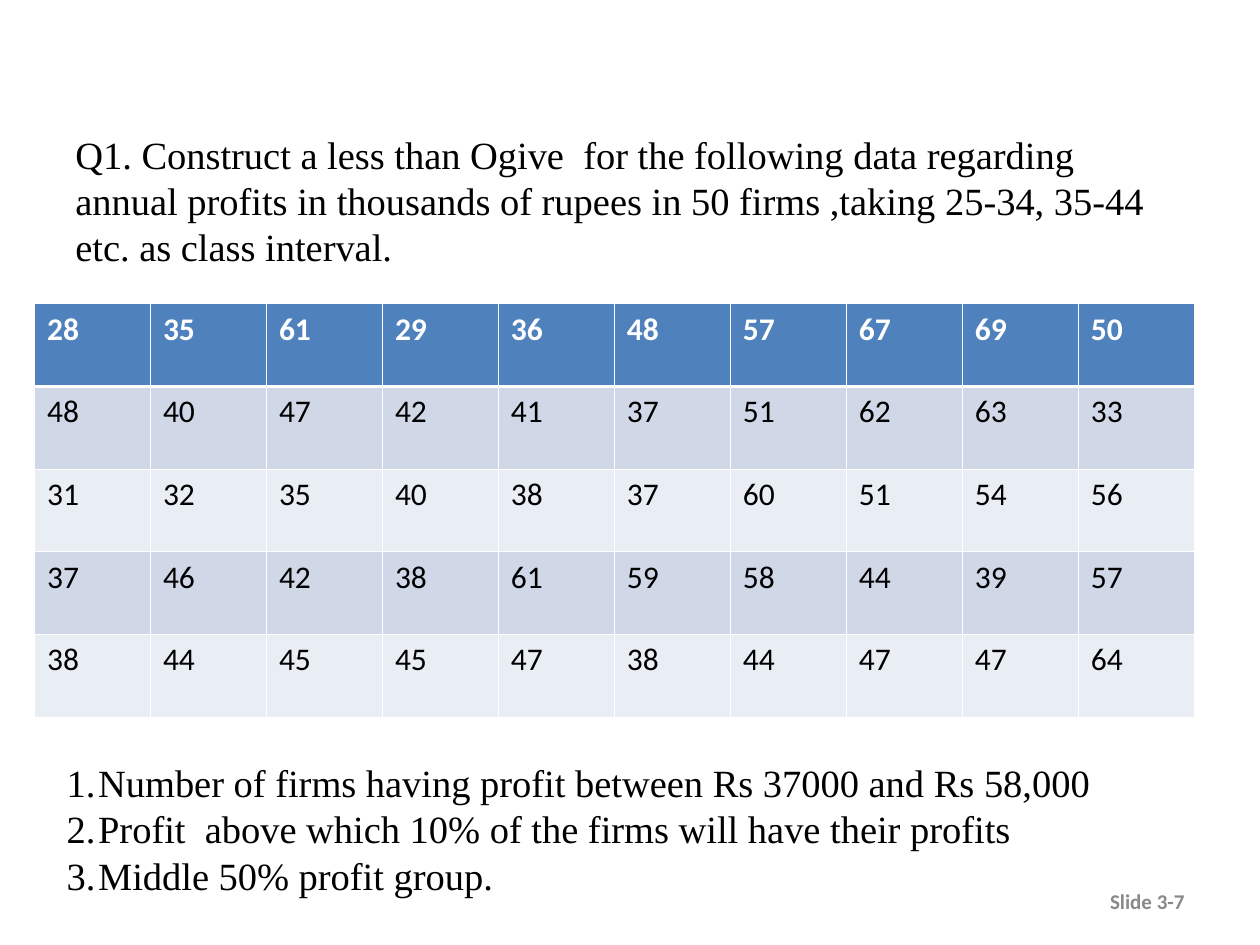
from lxml import etree
from pptx import Presentation
from pptx.dml.color import RGBColor
from pptx.enum.text import MSO_ANCHOR, PP_ALIGN
from pptx.oxml.ns import qn
from pptx.util import Pt

MIDDLE, TOP = MSO_ANCHOR.MIDDLE, MSO_ANCHOR.TOP
RIGHT = PP_ALIGN.RIGHT
SERIF, SANS = "Times New Roman", "Calibri"

QUESTION = (
    "Q1. Construct a less than Ogive  for the following data regarding "
    "annual profits in thousands of rupees in 50 firms ,taking 25-34, 35-44 "
    "etc. as class interval."
)
TASKS = [
    "Number of firms having profit between Rs 37000 and Rs 58,000",
    "Profit  above which 10% of the firms will have their profits",
    "Middle 50% profit group.",
]
PROFITS = [
    [28, 35, 61, 29, 36, 48, 57, 67, 69, 50],
    [48, 40, 47, 42, 41, 37, 51, 62, 63, 33],
    [31, 32, 35, 40, 38, 37, 60, 51, 54, 56],
    [37, 46, 42, 38, 61, 59, 58, 44, 39, 57],
    [38, 44, 45, 45, 47, 38, 44, 47, 47, 64],
]


def style(para, size, name, color, bold=False):
    font = para.font
    font.size, font.name, font.bold = Pt(size), name, bold
    font.color.rgb = RGBColor.from_string(color)


def add_text(box, lines, size, name, color, anchor=TOP, bold=False):
    """Add a wrapped text box, one paragraph a line; return its paragraphs."""
    frame = slide.shapes.add_textbox(*map(Pt, box)).text_frame
    frame.word_wrap = True
    frame.vertical_anchor = anchor
    frame.text = "\n".join(lines)
    for para in frame.paragraphs:
        style(para, size, name, color, bold)
    return frame.paragraphs


prs = Presentation()
prs.slide_width, prs.slide_height = Pt(720), Pt(540)
slide = prs.slides.add_slide(prs.slide_layouts[6])

# Question
question = add_text((36, 71.3, 648, 411), [QUESTION], 22, SERIF, "000000")
question[0].space_before = Pt(5.5)

# Numbered tasks
for para in add_text((31, 417.6, 663, 111.6), TASKS, 22, SERIF, "000000", MIDDLE):
    props = para._p.get_or_add_pPr()
    props.set("marL", str(Pt(18)))
    props.set("indent", str(-Pt(18)))
    etree.SubElement(props, qn("a:buFont"), typeface=SERIF)
    etree.SubElement(props, qn("a:buAutoNum"), type="arabicPeriod")
    # Bullet marks come before the default run properties
    props.append(props.find(qn("a:defRPr")))

# Slide number
footer = add_text((516.2, 500.4, 167.8, 28.8), ["Slide 3-7"], 12, SANS, "898989", MIDDLE, True)
footer[0].alignment = RIGHT

# Profit table
rows, cols = len(PROFITS), len(PROFITS[0])
table = slide.shapes.add_table(
    rows, cols, Pt(19.7), Pt(173.6), Pt(66.3 * cols), Pt(47.25 * rows)
).table
for r, row in enumerate(PROFITS):
    head = r == 0
    fill = "4F81BD" if head else ("E9EDF4", "D0D8E8")[r % 2]
    edges = {
        "lnL": 0.45,
        "lnR": 0.45,
        "lnT": 1.47 if r == 1 else 0.45,
        "lnB": 1.47 if head else 0.45,
    }
    for c, value in enumerate(row):
        cell = table.cell(r, c)
        cell.text = str(value)
        style(cell.text_frame.paragraphs[0], 18, SANS, "FFFFFF" if head else "000000", head)
        props = cell._tc.get_or_add_tcPr()
        for edge, width in edges.items():
            line = etree.SubElement(props, qn("a:" + edge), w=str(Pt(width)))
            solid = etree.SubElement(line, qn("a:solidFill"))
            etree.SubElement(solid, qn("a:srgbClr"), val="FFFFFF")
        cell.fill.solid()
        cell.fill.fore_color.rgb = RGBColor.from_string(fill)

prs.save("out.pptx")
